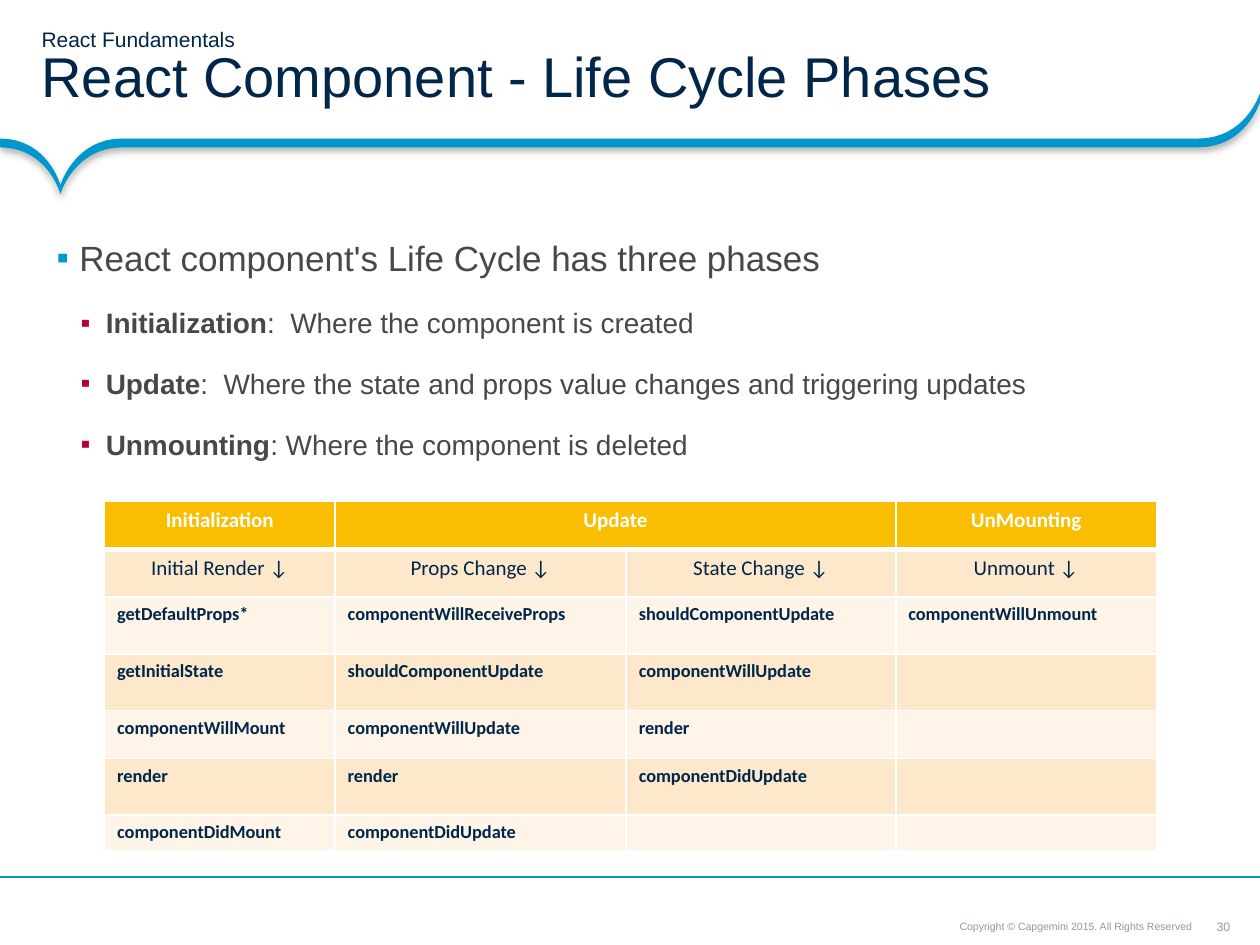
from lxml.etree import SubElement
from pptx import Presentation
from pptx.dml.color import RGBColor
from pptx.enum.shapes import MSO_CONNECTOR
from pptx.enum.text import MSO_ANCHOR as Anchor, PP_ALIGN as Align
from pptx.oxml.ns import qn
from pptx.util import Inches, Pt

COLORS = {
    "navy": "00264A", "blue": "0098CC", "red": "B70132", "gray": "484848",
    "taupe": "9F958F", "gold": "F9BE01", "sand": "FDE8CC", "cream": "FEF4E7",
    "white": "FFFFFF", "black": "000000",
}
GRID_COLUMNS, GRID_ROWS = 100, 75
UNIT = Inches(0.1)

PHASES = [
    ("Initialization", ":  Where the component is created"),
    ("Update", ":  Where the state and props value changes and triggering updates"),
    ("Unmounting", ": Where the component is deleted"),
]
COLUMN_WIDTHS = [18.3, 23.1, 21.4, 20.7]
ROW_HEIGHTS = [3.8, 3.8, 4.5, 4.5, 3.8, 4.5, 2.8]
LIFE_CYCLE = [
    ["Initialization", "Update", "", "UnMounting"],
    ["Initial Render ↓", "Props Change ↓", "State Change ↓", "Unmount ↓"],
    ["getDefaultProps*", "componentWillReceiveProps", "shouldComponentUpdate", "componentWillUnmount"],
    ["getInitialState", "shouldComponentUpdate", "componentWillUpdate", ""],
    ["componentWillMount", "componentWillUpdate", "render", ""],
    ["render", "render", "componentDidUpdate", ""],
    ["componentDidMount", "componentDidUpdate", "", ""],
]


def grid(*values):
    """Turn grid units into slide lengths."""
    return [round(value * UNIT) for value in values]


def add_solid(parent, color, alpha=None):
    fill = SubElement(SubElement(parent, qn("a:solidFill")), qn("a:srgbClr"), val=COLORS[color])
    if alpha:
        SubElement(fill, qn("a:alpha"), val=str(alpha * 1000))


def curve(start, control1, control2, end, steps=16):
    """Points along a cubic Bezier curve, both ends included."""
    points = []
    for step in range(steps + 1):
        t = step / steps
        weights = ((1 - t) ** 3, 3 * t * (1 - t) ** 2, 3 * t * t * (1 - t), t ** 3)
        corners = (start, control1, control2, end)
        points.append(tuple(sum(w * c[axis] for w, c in zip(weights, corners)) for axis in (0, 1)))
    return points


class SlideBuilder:
    def __init__(self, page, font="Arial", table_font="Calibri"):
        self.page = page
        self.font = font
        self.table_font = table_font

    def style(self, span, size, color, bold=False, font=None):
        span.font.name = font or self.font
        span.font.size = Pt(size)
        span.font.bold = bold
        span.font.color.rgb = RGBColor.from_string(COLORS[color])

    def text_box(self, left, top, width, height, margins, anchor=Anchor.TOP, wrap=True):
        frame = self.page.shapes.add_textbox(*grid(left, top, width, height)).text_frame
        frame.word_wrap = wrap
        frame.vertical_anchor = anchor
        (frame.margin_left, frame.margin_top,
         frame.margin_right, frame.margin_bottom) = grid(*margins)
        return frame

    def small_print(self, text, size, align, **box):
        frame = self.text_box(**box)
        frame.text = text
        para = frame.paragraphs[0]
        para.alignment = align
        self.style(para.runs[0], size, "taupe")

    def title(self, overline, text):
        frame = self.text_box(0, 0, GRID_COLUMNS, 11, (3.3, 0.4, 1.8, 0.4), Anchor.MIDDLE)
        para = frame.paragraphs[0]
        para.text = f"{overline}\v{text}"
        para.line_spacing = 0.85
        for span, size in zip(para.runs, (12, 32)):
            self.style(span, size, "navy")

    def bullet(self, para, parts, size, color, margin, hang, level=0):
        """Write one bullet from (text, bold) parts."""
        para.level = level
        para.alignment = Align.JUSTIFY
        para.line_spacing = 1.5
        para.space_after = Pt(6)
        properties = para._p.get_or_add_pPr()
        left, indent = grid(margin, -hang)
        properties.set("marL", str(left))
        properties.set("indent", str(indent))
        bullet_color = SubElement(properties, qn("a:buClr"))
        SubElement(bullet_color, qn("a:srgbClr"), val=COLORS[color])
        SubElement(properties, qn("a:buFont"), typeface=self.font)
        SubElement(properties, qn("a:buChar"), char="▪")
        for text, bold in parts:
            span = para.add_run()
            span.text = text
            self.style(span, size, "gray", bold)

    def ribbon(self, thickness=0.7):
        """Swoosh under the title: one edge, repeated lower down."""
        corner, tip = (100, 7.4), (4.8, 14.7)
        bend, notch, start = (95.1, 11), (9.7, 11), (0, 11)
        edge = (curve(corner, corner, (98.9, 11), bend)
                + curve(notch, (5.9, 11), tip, tip)
                + curve(tip, tip, (3.8, 11), start)[1:])
        lower = [(x, y + thickness) for x, y in reversed(edge)]
        points = [tuple(grid(*point)) for point in edge + lower]
        builder = self.page.shapes.build_freeform(*points[0])
        builder.add_line_segments(points[1:], close=True)
        shape = builder.convert_to_shape()
        shape.fill.solid()
        shape.fill.fore_color.rgb = RGBColor.from_string(COLORS["blue"])
        shape.line.fill.background()
        shape.shadow.inherit = False
        effects = shape._element.spPr.find(qn("a:effectLst"))
        shadow = SubElement(effects, qn("a:outerShdw"), blurRad=str(Pt(4)), dist=str(Pt(2)),
                            dir="5400000", algn="t", rotWithShape="0")
        tint = SubElement(shadow, qn("a:srgbClr"), val=COLORS["black"])
        SubElement(tint, qn("a:alpha"), val="31000")

    def rule(self, top):
        line = self.page.shapes.add_connector(
            MSO_CONNECTOR.STRAIGHT, *grid(GRID_COLUMNS, top, 0, top))
        line.line.color.rgb = RGBColor.from_string(COLORS["blue"])
        line.line.width = Pt(0.75)
        SubElement(line._element.spPr, qn("a:effectLst"))

    def cell(self, cell, text, fill, size, color, bold, align, thick_side=None):
        properties = cell._tc.get_or_add_tcPr()
        for side in ("lnL", "lnR", "lnT", "lnB"):
            width = Pt(3 if side == thick_side else 1)
            add_solid(SubElement(properties, qn(f"a:{side}"), w=str(width)), "white")
        cell.fill.solid()
        cell.fill.fore_color.rgb = RGBColor.from_string(COLORS[fill])
        para = cell.text_frame.paragraphs[0]
        para.alignment = align
        if text:
            para.text = text
            self.style(para.runs[0], size, color, bold, self.table_font)
        else:
            SubElement(para._p, qn("a:endParaRPr"), sz=str(int(size * 100)))

    def table(self, left, top, widths, heights, rows):
        table = self.page.shapes.add_table(
            len(rows), len(widths), *grid(left, top, sum(widths), sum(heights))).table
        for column, width in zip(table.columns, grid(*widths)):
            column.width = width
        for row, height in zip(table.rows, grid(*heights)):
            row.height = height
        for number, texts in enumerate(rows):
            if number == 0:
                look = ("gold", 12, "white", True, Align.CENTER, "lnB")
            elif number == 1:
                look = ("sand", 12, "navy", False, Align.CENTER, "lnT")
            else:
                look = ("sand" if number % 2 else "cream", 10.5, "navy", True, Align.LEFT)
            for index, text in enumerate(texts):
                self.cell(table.cell(number, index), text, *look)
        table.cell(0, 1).merge(table.cell(0, 2))


def main():
    deck = Presentation()
    deck.slide_width, deck.slide_height = grid(GRID_COLUMNS, GRID_ROWS)
    slide = SlideBuilder(deck.slides.add_slide(deck.slide_layouts[6]))

    slide.small_print("30", 7, Align.CENTER, left=96.5, top=72.9, width=1.2, height=1.2,
                      margins=(0, 0, 0, 0), anchor=Anchor.MIDDLE, wrap=False)
    slide.ribbon()
    slide.small_print("Copyright © Capgemini 2015. All Rights Reserved", 6, Align.RIGHT,
                      left=68.1, top=72.4, width=26.9, height=2,
                      margins=(0.4, 0.4, 0.4, 0.4), anchor=Anchor.BOTTOM)
    slide.rule(69.6)
    slide.table(8.3, 39.8, COLUMN_WIDTHS, ROW_HEIGHTS, LIFE_CYCLE)
    slide.title("React Fundamentals", "React Component - Life Cycle Phases")

    body = slide.text_box(3.3, 16.3, 96.7, 50.8, (1.2, 0.8, 0.8, 0.8))
    slide.bullet(body.paragraphs[0], [("React component's Life Cycle has three phases", False)],
                 20, "blue", 1.8, 1.8)
    for name, meaning in PHASES:
        slide.bullet(body.add_paragraph(), [(name, True), (meaning, False)],
                     16, "red", 3.9, 2, level=1)
    deck.save("out.pptx")


if __name__ == "__main__":
    main()
